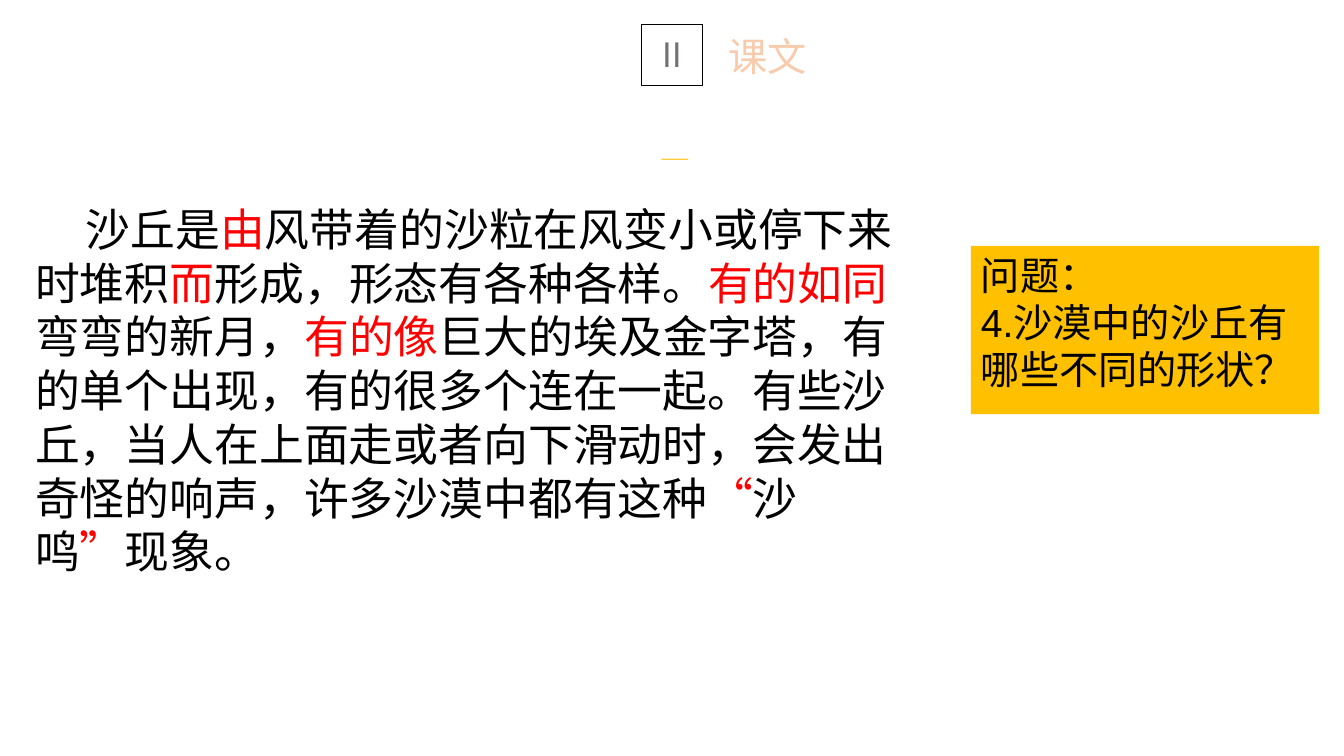
from lxml.etree import SubElement
from pptx import Presentation
from pptx.dml.color import RGBColor as RGB
from pptx.enum.shapes import MSO_SHAPE as Shape
from pptx.enum.text import MSO_ANCHOR as Anchor, PP_ALIGN as Align
from pptx.oxml.ns import qn
from pptx.util import Inches, Pt

HUES = {"black": "000000", "red": "FF0000", "gold": "FFC000",
        "gray": "767171", "peach": "F8CBAD", "orange": "ED7D31"}
SANS = "Noto Sans CJK SC"
STORY = [
    ("沙丘是", "black"), ("由", "red"),
    ("风带着的沙粒在风变小或停下来时堆积", "black"), ("而", "red"),
    ("形成，形态有各种各样。", "black"), ("有的如同", "red"),
    ("弯弯的新月，", "black"), ("有的像", "red"),
    ("巨大的埃及金字塔，有的单个出现，有的很多个连在一起。有些沙丘，"
     "当人在上面走或者向下滑动时，会发出奇怪的响声，许多沙漠中都有这种", "black"),
    ("“", "red"), ("沙鸣", "black"), ("”", "red"), ("现象。", "black"),
]


def color(name):
    """Return the named colour."""
    return RGB.from_string(HUES[name])


def write(shape, paras, size, face, align=Align.LEFT):
    """Fill a shape with paragraphs of coloured runs."""
    frame = shape.text_frame
    look = {"word_wrap": True, "vertical_anchor": Anchor.TOP}
    for key, value in look.items():
        setattr(frame, key, value)
    for i, parts in enumerate(paras):
        para = frame.add_paragraph() if i else frame.paragraphs[0]
        para.alignment = align
        for text, hue in parts:
            run = para.add_run()
            run.text = text
            for key, value in {"size": Pt(size), "name": face}.items():
                setattr(run.font, key, value)
            run.font.color.rgb = color(hue)


def label(slide, area, parts, size, face=SANS, align=Align.CENTER):
    """Add a text box with one paragraph."""
    box = slide.shapes.add_textbox(*map(Inches, area))
    write(box, [parts], size, face, align)
    return box.text_frame.paragraphs[0]


def panel(slide, area, fill=None, line=None):
    """Add a plain rectangle."""
    box = slide.shapes.add_shape(Shape.RECTANGLE, *map(Inches, area))
    box.shadow.inherit = False
    if fill:
        box.fill.solid()
        box.fill.fore_color.rgb = color(fill)
    else:
        box.fill.background()
    if line:
        box.line.color.rgb = color(line)
        box.line.width = Pt(1)
    else:
        box.line.fill.background()
    return box


def outline(run, hue, width):
    """Draw a line around the letters of a run."""
    props = run.font._element
    line = SubElement(props, qn("a:ln"), w=str(Pt(width)))
    fill = SubElement(line, qn("a:solidFill"))
    SubElement(fill, qn("a:srgbClr"), val=HUES[hue])
    props.insert(0, line)


def main():
    """Build the text slide and save it."""
    deck = Presentation()
    deck.slide_width, deck.slide_height = Inches(13.33), Inches(7.5)
    slide = deck.slides.add_slide(deck.slide_layouts[6])

    title = label(slide, (6.87, 0.27, 1.48, 0.57), [("课文", "peach")], 28)
    outline(title.runs[0], "orange", 1.75)
    label(slide, (4.81, 1.42, 3.77, 0.3), [("——", "gold")], 12)
    label(slide, (6.28, 0.29, 0.78, 0.5), [("Ⅱ", "gray")], 24)
    panel(slide, (6.36, 0.24, 0.61, 0.61), line="black")

    story = label(slide, (0.25, 1.95, 8.84, 3.86), STORY, 32, "Arial", Align.LEFT)
    story._p.get_or_add_pPr().set("indent", str(Inches(0.5)))

    task = panel(slide, (9.63, 2.44, 3.45, 1.67), fill="gold")
    write(task, [[("问题：", "black")],
                 [("4.沙漠中的沙丘有哪些不同的形状？", "black")]], 28, "Arial")
    deck.save("out.pptx")


if __name__ == "__main__":
    main()
